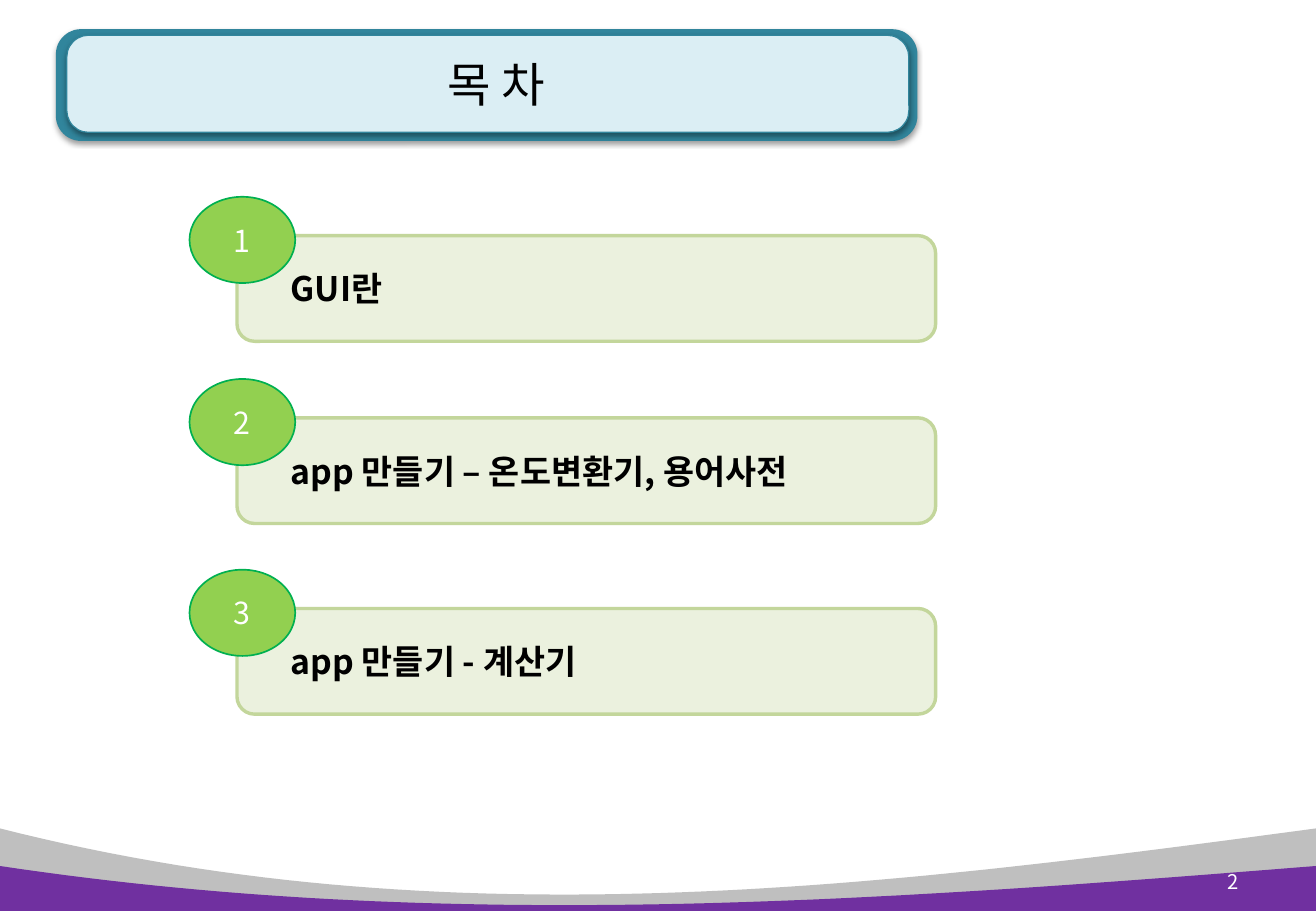
from lxml.etree import SubElement as Sub
from pptx import Presentation
from pptx.dml.color import RGBColor as RGB
from pptx.enum.shapes import MSO_SHAPE as Shape
from pptx.enum.text import MSO_ANCHOR as Anchor, PP_ALIGN as Align
from pptx.oxml.ns import qn
from pptx.util import Emu, Pt

WHITE = RGB(0xFF, 0xFF, 0xFF)
BLACK = RGB(0, 0, 0)
GRAY = RGB(0xBF, 0xBF, 0xBF)
PURPLE = RGB(0x70, 0x30, 0xA0)
TEAL = RGB(0x31, 0x85, 0x9C)
PALE = RGB(0xDB, 0xEE, 0xF4)
CREAM = RGB(0xEB, 0xF1, 0xDE)
OLIVE = RGB(0xC3, 0xD6, 0x9B)
LIME = RGB(0x92, 0xD0, 0x50)
GREEN = RGB(0x00, 0xB0, 0x50)

WIDTH, HEIGHT = 1083, 750


def px(n):
    """Turn px into EMU, 100 px to the inch."""
    return Emu(n * 9144)


class Deck:
    font = "Noto Sans CJK KR"

    def __init__(self):
        self.prs = Presentation()
        self.prs.slide_width, self.prs.slide_height = px(WIDTH), px(HEIGHT)
        self.slide = self.prs.slides.add_slide(self.prs.slide_layouts[5])
        self.shapes = self.slide.shapes

    def paint(self, shape, fill, line=None, width=1):
        shape.shadow.inherit = False
        shape.fill.solid()
        shape.fill.fore_color.rgb = fill
        if line is None:
            shape.line.fill.background()
        else:
            shape.line.color.rgb = line
            shape.line.width = Pt(width)

    def letter(self, shape, text, size, color, align, bold=False, inset=10):
        frame = shape.text_frame
        frame.text = text
        frame.word_wrap = True
        frame.vertical_anchor = Anchor.MIDDLE
        frame.margin_left = px(inset)
        para = frame.paragraphs[0]
        para.alignment = align
        font = para.runs[0].font
        font.name, font.size, font.bold = self.font, Pt(size), bold
        font.color.rgb = color
        Sub(font._element, qn("a:ea"), typeface=self.font)

    def box(self, kind, at, fill, line=None, width=1, round=None):
        shape = self.shapes.add_shape(kind, *map(px, at))
        self.paint(shape, fill, line, width)
        if round is not None:
            shape.adjustments[0] = round
        return shape

    def shade(self, shape):
        """Add a soft shadow straight below the shape."""
        effects = shape._element.spPr.find(qn("a:effectLst"))
        outer = Sub(effects, qn("a:outerShdw"), blurRad=str(Pt(3.1)),
                    dist=str(Pt(1.6)), dir="5400000", rotWithShape="0")
        color = Sub(outer, qn("a:srgbClr"), val=str(BLACK))
        Sub(color, qn("a:alpha"), val="38000")

    def wave(self, ends, fill, steps=60):
        """Fill the area below a cubic curve, down to the slide's foot."""
        xs = (0, 365, 720, WIDTH)
        curve = []
        for i in range(steps + 1):
            t = i / steps
            parts = ((1 - t) ** 3, 3 * t * (1 - t) ** 2,
                     3 * t * t * (1 - t), t ** 3)
            curve.append(tuple(px(sum(w * v for w, v in zip(parts, axis)))
                               for axis in (xs, ends)))
        form = self.shapes.build_freeform(*curve[0], scale=1.0)
        foot = [(px(WIDTH), px(HEIGHT)), (0, px(HEIGHT))]
        form.add_line_segments(curve[1:] + foot, close=True)
        self.paint(form.convert_to_shape(), fill)

    def title(self, text, at):
        head = self.shapes.title
        head.left, head.top, head.width, head.height = map(px, at)
        self.letter(head, text, 28, BLACK, Align.CENTER)
        self.shapes._spTree.append(head._element)  # bring to front

    def label(self, text, at):
        self.letter(self.shapes.add_textbox(*map(px, at)), text, 12, WHITE,
                    Align.RIGHT)

    def entry(self, num, text, top):
        bar = self.box(Shape.ROUNDED_RECTANGLE, (195, top + 32, 575, 87),
                       CREAM, OLIVE, 2)
        self.letter(bar, text, 20, BLACK, Align.LEFT, True, 40)
        badge = self.box(Shape.OVAL, (156, top, 87, 71), LIME, GREEN)
        self.letter(badge, str(num), 18, WHITE, Align.CENTER)


def main():
    deck = Deck()

    # Footer waves
    deck.wave((682, 775, 731, 682), GRAY)
    deck.wave((713, 768, 742, 713), PURPLE)

    # Title banner
    banner = (((46, 24, 709, 92), TEAL, None),
              ((55, 29, 693, 80), PALE, TEAL))
    for at, fill, line in banner:
        deck.shade(deck.box(Shape.ROUNDED_RECTANGLE, at, fill, line, 0.75,
                            0.225))
    deck.title("목 차", (69, 22, 678, 94))

    # Page number
    deck.label("2", (968, 706, 61, 40))

    # Contents
    items = (("GUI란", 162),
             ("app 만들기 – 온도변환기, 용어사전", 312),
             ("app 만들기 - 계산기", 469))
    for num, (text, top) in enumerate(items, 1):
        deck.entry(num, text, top)

    deck.prs.save("out.pptx")


if __name__ == "__main__":
    main()
